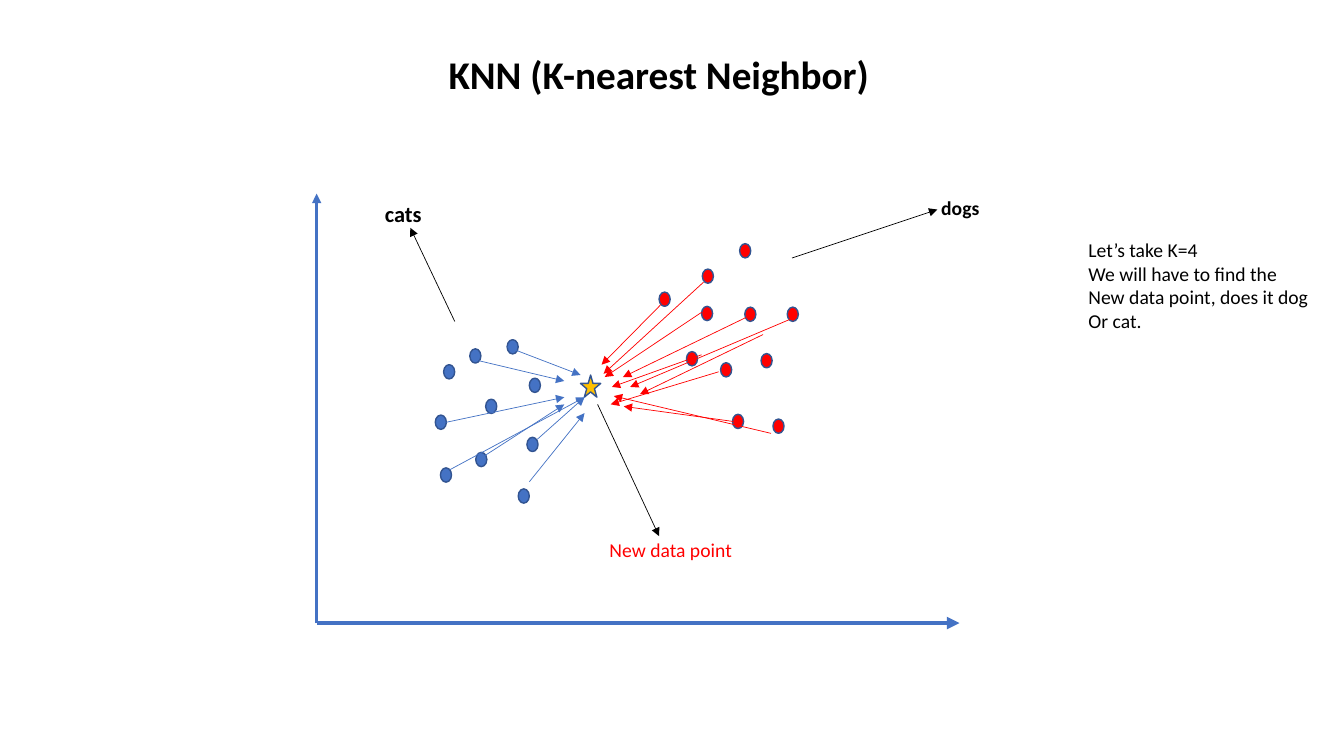
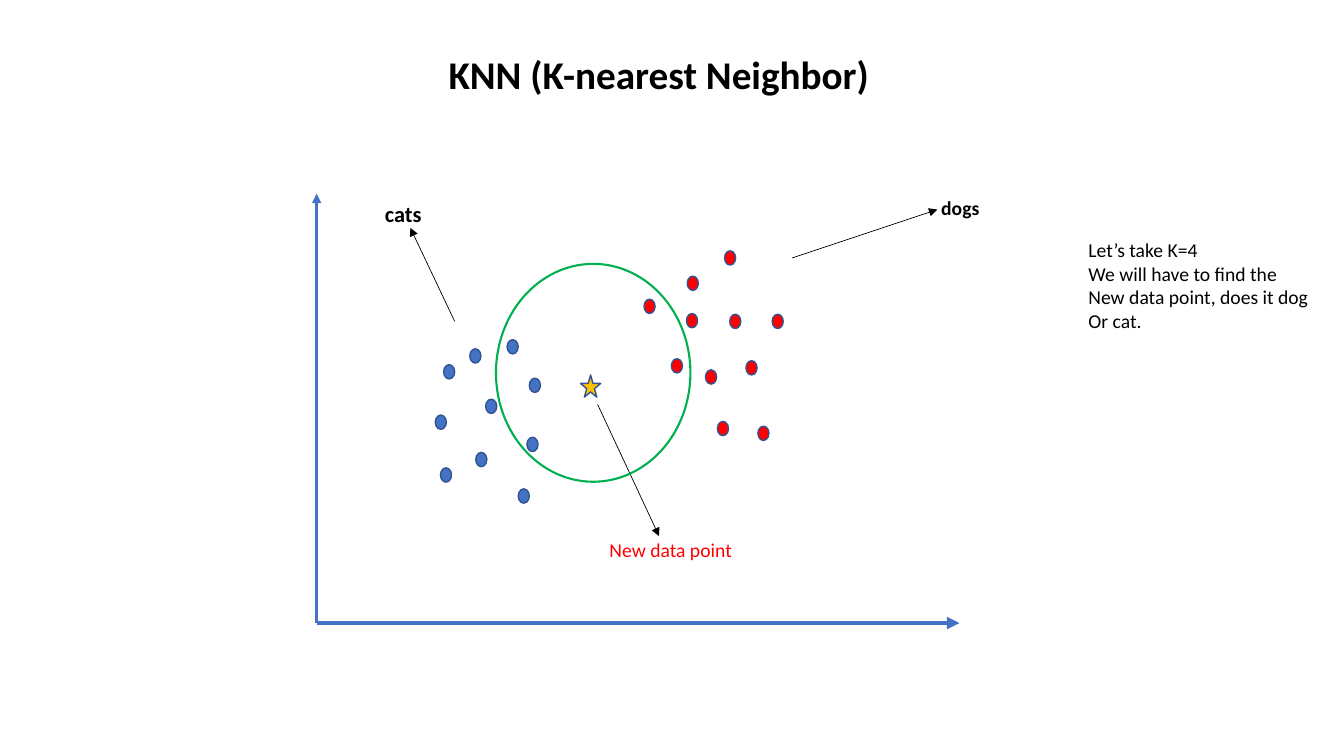
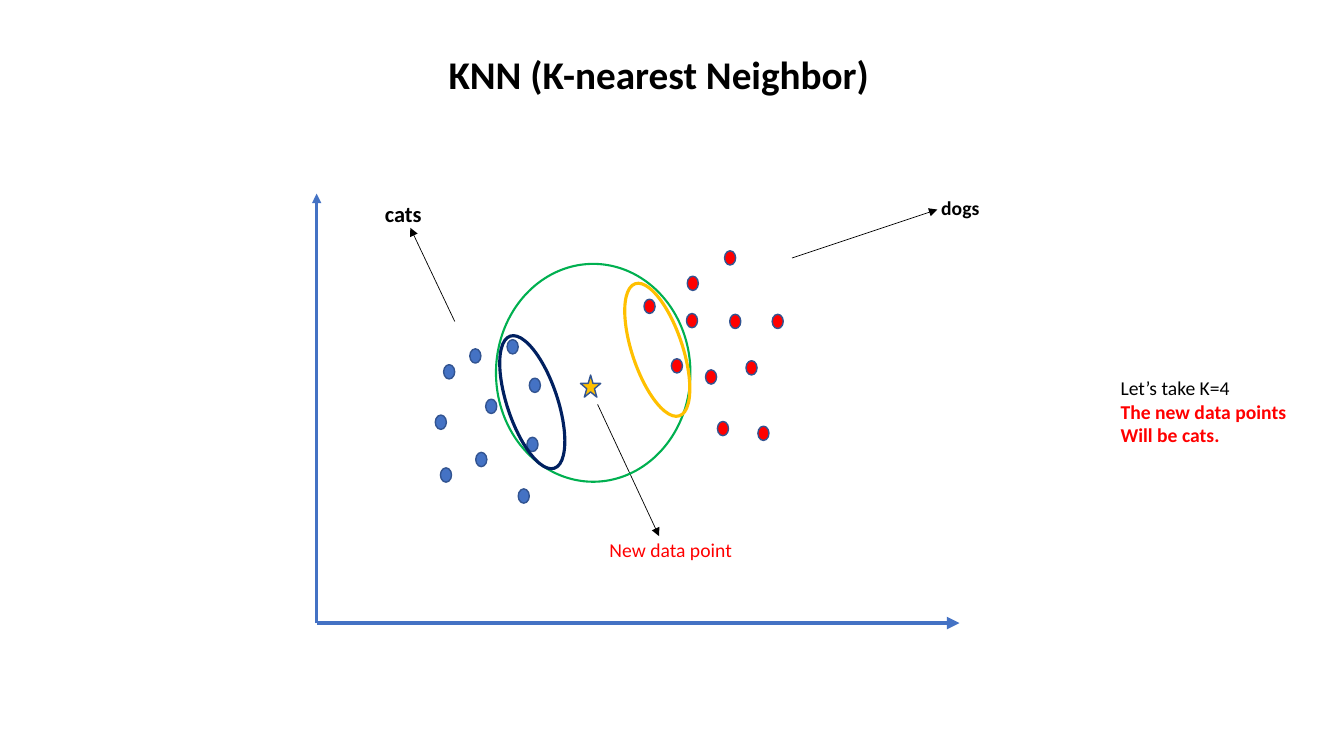
from lxml import etree
from pptx import Presentation
from pptx.dml.color import RGBColor
from pptx.enum.shapes import MSO_CONNECTOR, MSO_SHAPE
from pptx.enum.text import MSO_ANCHOR, MSO_AUTO_SIZE, PP_ALIGN
from pptx.oxml.ns import qn
from pptx.util import Cm, Pt

ELLIPSE = MSO_SHAPE.OVAL
STAR = MSO_SHAPE.STAR_5_POINT
STRAIGHT = MSO_CONNECTOR.STRAIGHT
BOTTOM = MSO_ANCHOR.BOTTOM
CENTER = PP_ALIGN.CENTER
FIT_SHAPE = MSO_AUTO_SIZE.SHAPE_TO_FIT_TEXT
NO_FIT = MSO_AUTO_SIZE.NONE

FONT = "Calibri"
TITLE = "KNN (K-nearest Neighbor) "
TITLE_ONLY = 5
COLORS = {
    "text": "000000",
    "cat": "4472C4",
    "dog": "FF0000",
    "outline": "325491",
    "star": "FFC000",
    "neighborhood": "00B050",
    "cat_ring": "002060",
    "dog_ring": "FFC000",
}

# All positions are in centimetres.
DOT_SIZE = (0.28, 0.36)
ORIGIN = (7.98, 15.7)
CATS = [
    (11.1, 11.79), (11.99, 11.4), (13.28, 11.02), (11.84, 8.79), (13.34, 9.53),
    (10.97, 10.46), (12.78, 8.56), (11.18, 9.19), (13.06, 12.32), (12.24, 10.06),
]
DOGS = [
    (18.26, 6.32), (16.23, 7.54), (19.46, 7.92), (17.32, 6.96), (17.78, 9.32),
    (16.92, 9.04), (17.3, 7.9), (18.8, 9.09), (18.39, 7.92), (18.08, 10.62),
    (19.1, 10.74),
]
FIRST_DOGS_SHIFT = (0.38, -0.18)
CAT_DISTANCES = [
    ((13.54, 11.07), (14.73, 10.01)),
    ((12.78, 8.74), (14.63, 9.45)),
    ((11.25, 10.64), (14.22, 10.01)),
    ((12.07, 9.09), (14.22, 9.6)),
    ((12.22, 11.48), (14.22, 10.19)),
    ((13.34, 12.14), (14.73, 10.41)),
    ((11.33, 11.84), (14.73, 10.01)),
]
DOG_DISTANCES = [
    ((16.66, 7.67), (15.16, 9.19)),
    ((17.73, 7.11), (15.21, 9.42)),
    ((17.68, 7.87), (15.24, 9.5)),
    ((17.68, 8.94), (15.42, 9.75)),
    ((18.11, 9.37), (15.39, 10.19)),
    ((18.8, 8.0), (15.7, 9.5)),
    ((18.47, 10.62), (15.72, 10.24)),
    ((19.43, 10.92), (15.47, 9.98)),
    ((19.23, 8.43), (16.13, 9.93)),
    ((20.02, 8.0), (15.88, 9.75)),
]
QUESTION = [
    "Let’s take K=4",
    "We will have to find the",
    "New data point, does it dog",
    "Or cat.",
]
ANSWER = ["Let’s take K=4", "The new data points", "Will be cats."]


def rgb(name):
    """Return the named colour."""
    return RGBColor.from_string(COLORS[name])


class Deck:
    """The presentation, its style and the slide being filled."""

    def __init__(self):
        """Start an empty widescreen presentation."""
        self.presentation = Presentation()
        self.presentation.slide_width = Cm(33.87)
        self.presentation.slide_height = Cm(19.05)
        self.slide = None

    def style(self, paragraph, size, color="text", bold=False):
        """Set the font of a whole paragraph."""
        font = paragraph.font
        font.name = FONT
        font.size = Pt(size)
        font.bold = bold
        font.color.rgb = rgb(color)

    def add_slide(self, title):
        """Add a slide with a centred title."""
        layout = self.presentation.slide_layouts[TITLE_ONLY]
        self.slide = self.presentation.slides.add_slide(layout)
        shape = self.slide.shapes.title
        shape.left, shape.top = Cm(4.01), Cm(0.74)
        shape.width, shape.height = Cm(25.4), Cm(1.85)
        frame = shape.text_frame
        frame.text = title
        frame.auto_size = NO_FIT
        frame.vertical_anchor = BOTTOM
        paragraph = frame.paragraphs[0]
        paragraph.alignment = CENTER
        paragraph.line_spacing = 0.9
        self.style(paragraph, 28, bold=True)

    def text(self, position, size, lines, points=14, color="text", bold=False):
        """Add an unwrapped text box and return its paragraphs."""
        box = self.slide.shapes.add_textbox(*map(Cm, position + size))
        frame = box.text_frame
        frame.text = "\n".join(lines)
        frame.word_wrap = False
        frame.auto_size = FIT_SHAPE
        for paragraph in frame.paragraphs:
            self.style(paragraph, points, color, bold)
        return frame.paragraphs

    def shape(self, kind, position, size, fill=None, line="outline", width=1, rotation=0):
        """Add an outlined shape, hollow unless a fill is given."""
        shape = self.slide.shapes.add_shape(kind, *map(Cm, position + size))
        shape.shadow.inherit = False
        shape.rotation = rotation
        if fill:
            shape.fill.solid()
            shape.fill.fore_color.rgb = rgb(fill)
        else:
            shape.fill.background()
        shape.line.color.rgb = rgb(line)
        shape.line.width = Pt(width)

    def dots(self, positions, color, shift=(0, 0)):
        """Add a group of data points, moved by the shift."""
        for left, top in positions:
            self.shape(ELLIPSE, (left + shift[0], top + shift[1]), DOT_SIZE, color)

    def arrow(self, start, end, color="text", width=0.5):
        """Add a straight line with an arrowhead at its end."""
        connector = self.slide.shapes.add_connector(STRAIGHT, *map(Cm, start + end))
        connector.line.color.rgb = rgb(color)
        connector.line.width = Pt(width)
        properties = connector._element.spPr
        outline = properties.find(qn("a:ln"))
        etree.SubElement(outline, qn("a:tailEnd"), type="triangle")
        etree.SubElement(properties, qn("a:effectLst"))

    def scatter(self, dogs_shift=(0, 0)):
        """Draw the axes, both groups, the new point and the labels."""
        self.arrow(ORIGIN, (24.18, ORIGIN[1]), "cat", 3)
        self.arrow(ORIGIN, (ORIGIN[0], 4.88), "cat", 2.25)
        self.dots(CATS, "cat")
        self.dots(DOGS, "dog", dogs_shift)
        self.shape(STAR, (14.63, 9.45), (0.51, 0.56), "star")
        self.arrow((15.06, 10.19), (16.61, 13.51))
        self.text((15.11, 13.44), (3.63, 0.86), ["New data point"], color="dog")
        self.arrow((19.96, 6.5), (23.62, 5.28))
        self.text((23.47, 4.8), (1.47, 0.86), ["dogs"], bold=True)
        self.arrow((11.46, 8.1), (10.34, 5.74))
        self.text((9.45, 4.93), (1.45, 0.94), ["cats"], points=16, bold=True)

    def question(self):
        """Add the note that asks for the class of the new point."""
        self.text((27.18, 5.87), (6.1, 2.64), QUESTION)

    def neighborhood(self):
        """Ring the surroundings of the new point."""
        self.shape(ELLIPSE, (12.5, 6.65), (4.9, 5.49), line="neighborhood", width=1.5)

    def neighbor_ring(self, position, color):
        """Ring the nearest neighbors of one class."""
        self.shape(ELLIPSE, position, (1.27, 3.51), line=color, width=2.25, rotation=341.5)


def distances_slide(deck):
    """Show the distances from all points to the new one."""
    deck.add_slide(TITLE)
    deck.question()
    deck.scatter(FIRST_DOGS_SHIFT)
    for distances, color in ((CAT_DISTANCES, "cat"), (DOG_DISTANCES, "dog")):
        for start, end in distances:
            deck.arrow(start, end, color)


def neighborhood_slide(deck):
    """Show the neighborhood of the new point."""
    deck.add_slide(TITLE)
    deck.question()
    deck.scatter()
    deck.neighborhood()


def answer_slide(deck):
    """Show the neighbors of each class and the answer."""
    deck.add_slide(TITLE)
    paragraphs = deck.text((27.99, 9.35), (4.7, 2.06), ANSWER)
    for paragraph in paragraphs[1:]:
        deck.style(paragraph, 14, "dog", bold=True)
    deck.scatter()
    deck.neighborhood()
    deck.neighbor_ring((12.78, 8.38), "cat_ring")
    deck.neighbor_ring((15.93, 7.06), "dog_ring")


deck = Deck()
distances_slide(deck)
neighborhood_slide(deck)
answer_slide(deck)
deck.presentation.save("out.pptx")
